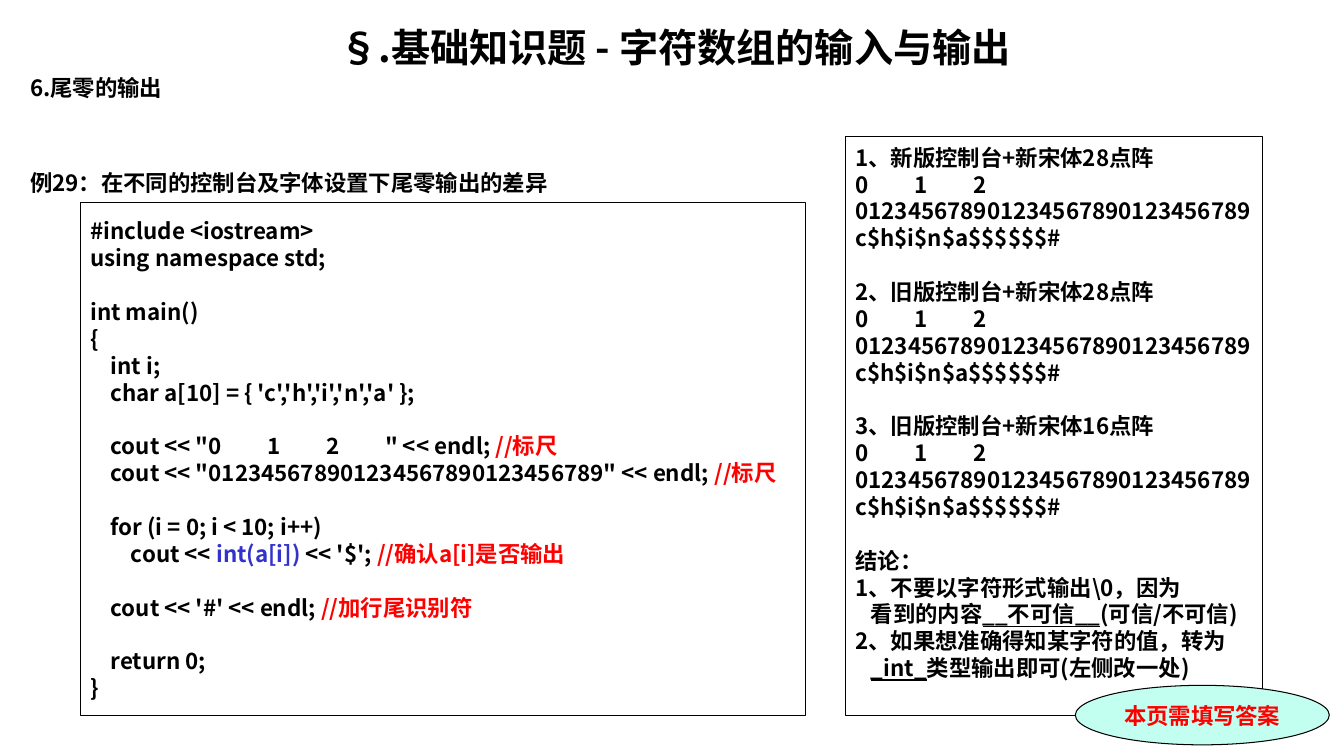
"""Build the slide on printing trailing zeros of a character array."""
from dataclasses import dataclass

from lxml import etree
from pptx import Presentation
from pptx.dml.color import RGBColor
from pptx.enum.shapes import MSO_SHAPE
from pptx.enum.text import MSO_ANCHOR, MSO_AUTO_SIZE, PP_ALIGN
from pptx.oxml.ns import qn
from pptx.util import Cm, Pt

RECT, OVAL = MSO_SHAPE.RECTANGLE, MSO_SHAPE.OVAL
MIDDLE, TOP = MSO_ANCHOR.MIDDLE, MSO_ANCHOR.TOP
LEFT, CENTER, JUSTIFY = PP_ALIGN.LEFT, PP_ALIGN.CENTER, PP_ALIGN.JUSTIFY
NO_FIT = MSO_AUTO_SIZE.NONE


@dataclass(frozen=True)
class Theme:
    """Colours, fonts and type sizes."""
    ink: str = "000000"
    note: str = "FF0000"
    answer: str = "3333CC"
    badge: str = "C2FFF0"
    font: str = "Noto Sans CJK SC"
    badge_font: str = "Times New Roman"
    title: int = 28
    text: int = 16
    leading: float = 1.2
    border: float = 0.75


class SlideBuilder:
    """Draws styled elements on one slide."""

    def __init__(self, prs, theme):
        """Add a slide with title and body placeholders."""
        self.t = theme
        self.s = prs.slides.add_slide(prs.slide_layouts[1])

    def frame(self, sp, **extra):
        """Set the common text frame values."""
        values = dict(word_wrap=True, auto_size=NO_FIT, vertical_anchor=MIDDLE,
                      margin_left=Cm(0.25), margin_right=Cm(0.25),
                      margin_top=Cm(0.13), margin_bottom=Cm(0.13))
        for name, value in (values | extra).items():
            setattr(sp.text_frame, name, value)
        return sp.text_frame

    def run(self, p, text, size, color=None, underline=False, font=None):
        """Add one run of bold text."""
        r = p.add_run()
        r.text = text
        values = dict(size=Pt(size), bold=True, underline=underline,
                      name=font or self.t.font)
        for name, value in values.items():
            setattr(r.font, name, value)
        r.font.color.rgb = RGBColor.from_string(color or self.t.ink)
        ea = etree.SubElement(r.font._element, qn("a:ea"))
        ea.set("typeface", self.t.font)

    def paragraph(self, p, align, size, before=0):
        """Set alignment and spacing of a paragraph."""
        values = dict(alignment=align, line_spacing=Pt(size * self.t.leading),
                      space_before=Pt(before), space_after=Pt(0))
        for name, value in values.items():
            setattr(p, name, value)

    def place(self, sp, box):
        """Move a placeholder to a box given in centimetres."""
        for name, value in zip(("left", "top", "width", "height"), box):
            setattr(sp, name, Cm(value))

    def title(self, text, box):
        """Fill the title placeholder."""
        sp = self.s.shapes.title
        self.place(sp, box)
        p = self.frame(sp).paragraphs[0]
        self.paragraph(p, CENTER, self.t.title)
        self.run(p, text, self.t.title)

    def body(self, lines, box, gap):
        """Fill the body placeholder with unbulleted lines."""
        sp = self.s.placeholders[1]
        self.place(sp, box)
        tf = self.frame(sp, vertical_anchor=TOP)
        for i, text in enumerate(lines):
            p = tf.add_paragraph() if i else tf.paragraphs[0]
            self.paragraph(p, JUSTIFY, self.t.text, gap if i else 0)
            pPr = p._p.get_or_add_pPr()
            pPr.set("marL", "0")
            pPr.set("indent", "0")
            etree.SubElement(pPr, qn("a:buNone"))
            self.run(p, text, self.t.text)

    def shape(self, kind, box, fill=None):
        """Add an outlined shape."""
        sp = self.s.shapes.add_shape(kind, *map(Cm, box))
        sp.shadow.inherit = False
        if fill:
            sp.fill.solid()
            sp.fill.fore_color.rgb = RGBColor.from_string(fill)
        else:
            sp.fill.background()
        sp.line.color.rgb = RGBColor.from_string(self.t.ink)
        sp.line.width = Pt(self.t.border)
        return sp

    def panel(self, blocks, box, bottom=0.13):
        """Add a framed panel whose blocks are one line apart."""
        sp = self.shape(RECT, box)
        tf = self.frame(sp, word_wrap=False, margin_bottom=Cm(bottom))
        gap = self.t.text * self.t.leading
        for b, block in enumerate(blocks):
            for i, line in enumerate(block):
                p = tf.add_paragraph() if b or i else tf.paragraphs[0]
                self.paragraph(p, LEFT, self.t.text, gap if b and not i else 0)
                runs = [(line, {})] if isinstance(line, str) else line
                pPr = p._p.get_or_add_pPr()
                if runs[0][1].get("indent"):
                    pPr.set("marL", str(Cm(0.39)))
                if "\t" in runs[0][0]:
                    tabs = etree.SubElement(pPr, qn("a:tabLst"))
                    for n in (1, 2):
                        etree.SubElement(tabs, qn("a:tab"),
                                         pos=str(Cm(1.49 * n)), algn="l")
                for text, style in runs:
                    style = {k: v for k, v in style.items() if k != "indent"}
                    self.run(p, text, self.t.text, **style)

    def badge(self, text, box):
        """Add the oval reminder."""
        sp = self.shape(OVAL, box, self.t.badge)
        p = self.frame(sp, word_wrap=False).paragraphs[0]
        self.paragraph(p, CENTER, self.t.text)
        self.run(p, text, self.t.text, self.t.note, font=self.t.badge_font)


def main():
    """Create and save the presentation."""
    theme = Theme()
    prs = Presentation()
    prs.slide_width, prs.slide_height = Cm(33.87), Cm(19.05)
    s = SlideBuilder(prs, theme)
    plain, under, indent = {}, {"underline": True}, {"indent": True}
    note, answer = {"color": theme.note}, {"color": theme.answer}
    digits = "0123456789" * 3

    s.title("§.基础知识题 - 字符数组的输入与输出", (0.51, 0.46, 33, 1.45))
    s.body(["6.尾零的输出", "例29：在不同的控制台及字体设置下尾零输出的差异"],
           (0.51, 1.75, 33, 3.2), 48)

    code = [
        ["#include <iostream>", "using namespace std;"],
        ["int main()", "{", "    int i;",
         "    char a[10] = { 'c','h','i','n','a' };"],
        [[('    cout << "0         1         2         " << endl;', plain),
          (" //标尺", note)],
         [(f'    cout << "{digits}" << endl;', plain), (" //标尺", note)]],
        ["    for (i = 0; i < 10; i++)",
         [("        cout << ", plain), ("int(a[i])", answer),
          (" << '$';", plain), (" //确认a[i]是否输出", note)]],
        [[("    cout << '#' << endl; ", plain), ("//加行尾识别符", note)]],
        ["    return 0;", "}"],
    ]
    s.panel(code, (2.03, 5.11, 18.26, 12.93))

    settings = ["新版控制台+新宋体28点阵", "旧版控制台+新宋体28点阵",
                "旧版控制台+新宋体16点阵"]
    results = [[f"{n}、{name}", "0\t1\t2", digits, "c$h$i$n$a$$$$$$#"]
               for n, name in enumerate(settings, 1)]
    conclusion = [
        "结论：",
        "1、不要以字符形式输出\\0，因为",
        [("看到的内容", indent), ("__不可信__", under), ("(可信/不可信)", plain)],
        "2、如果想准确得知某字符的值，转为",
        [("_int_", under | indent), ("类型输出即可(左侧改一处)", plain)],
    ]
    s.panel(results + [conclusion], (21.31, 3.43, 10.52, 14.6), 0.8)
    s.badge("本页需填写答案", (27.1, 17.27, 6.4, 1.5))
    prs.save("out.pptx")


if __name__ == "__main__":
    main()
